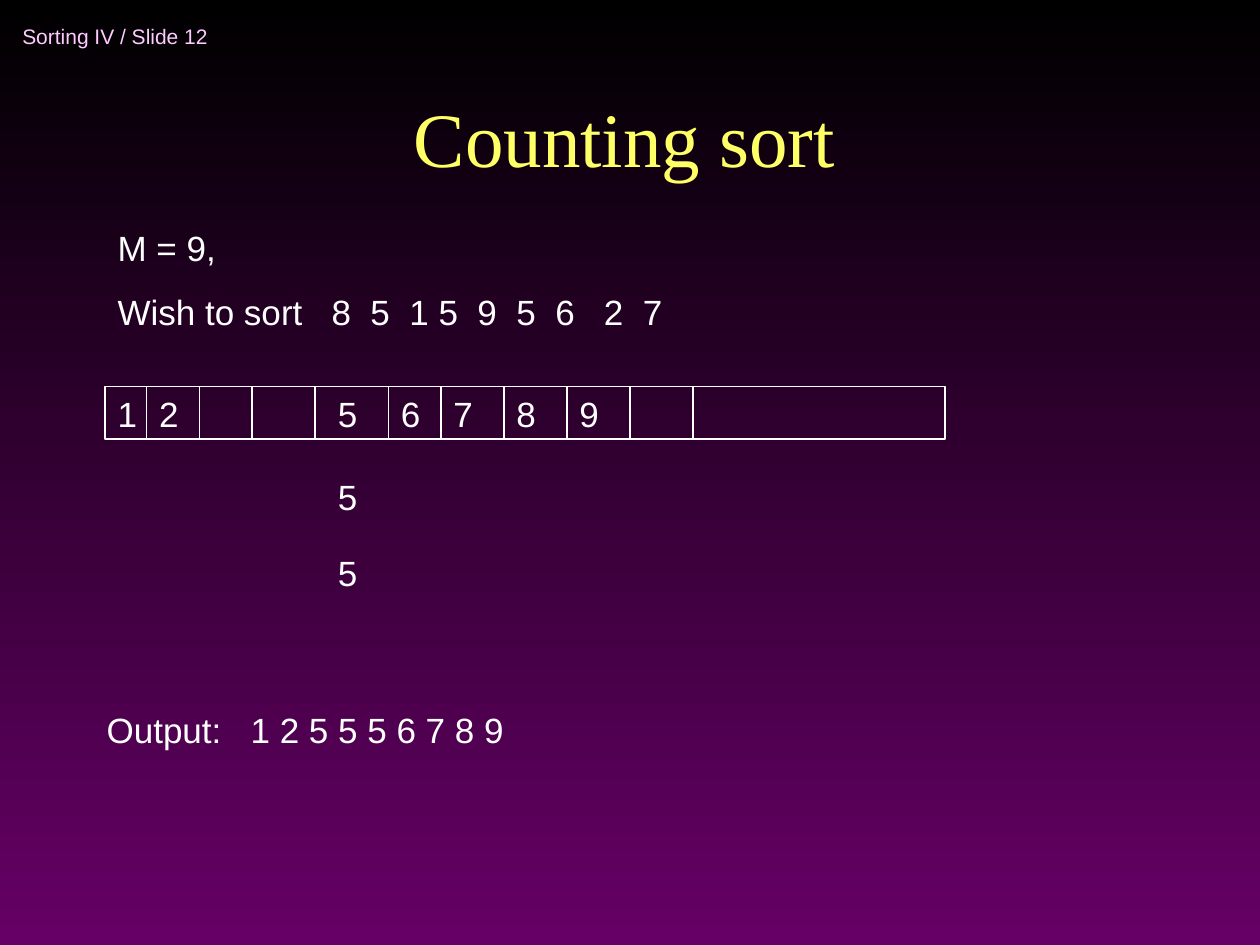
from dataclasses import dataclass

import pptx
import pptx.dml.color
import pptx.enum.shapes
import pptx.enum.text
import pptx.oxml.ns
import pptx.util
from lxml import etree

Cm, Pt = pptx.util.Cm, pptx.util.Pt
ALIGN = pptx.enum.text.PP_ALIGN
ANCHOR = pptx.enum.text.MSO_ANCHOR

COLORS = {"top": "000000", "bottom": "660066", "header": "FFCCFF",
          "title": "FFFF66", "body": "FFFFFF"}

BODY = {"name": "Arial", "size": Pt(20)}
HEADER = {"name": "Arial", "size": Pt(12)}
TITLE = {"name": "Times New Roman", "size": Pt(44)}

# Bucket row, in centimetres
ROW_LEFT, ROW_TOP, ROW_WIDTH, ROW_HEIGHT = 2.12, 7.79, 16.93, 1.06
DIVIDERS = [2.96, 4.02, 5.08, 6.35, 7.83, 8.89, 10.16, 11.43, 12.7, 13.97]
DIGIT_WIDTH, LINE_HEIGHT = 1.06, 1.12
FIVE_LEFT = 6.56


@dataclass
class Label:
    lines: list[str]
    left: float
    top: float
    width: float
    height: float = LINE_HEIGHT
    color: str = "body"
    font: dict | None = None
    align: ALIGN = ALIGN.LEFT
    anchor: ANCHOR = ANCHOR.TOP
    space_before: float = 12.5


def rgb(name: str) -> pptx.dml.color.RGBColor:
    return pptx.dml.color.RGBColor.from_string(COLORS[name])


def add_label(s, label: Label) -> None:
    sp = s.shapes.add_textbox(Cm(label.left), Cm(label.top),
                              Cm(label.width), Cm(label.height))
    tf = sp.text_frame
    tf.word_wrap = True
    tf.vertical_anchor = label.anchor
    for i, text in enumerate(label.lines):
        p = tf.add_paragraph() if i else tf.paragraphs[0]
        p.alignment = label.align
        p.space_before = Pt(label.space_before)
        r = p.add_run()
        r.text = text
        for key, value in (label.font or BODY).items():
            setattr(r.font, key, value)
        r.font.color.rgb = rgb(label.color)


def style_line(line) -> None:
    line.color.rgb = rgb("body")
    line.width = Pt(0.75)


def add_divider(s, x: float) -> None:
    line = s.shapes.add_connector(pptx.enum.shapes.MSO_CONNECTOR.STRAIGHT, Cm(x),
                                  Cm(ROW_TOP), Cm(x), Cm(ROW_TOP + ROW_HEIGHT))
    style_line(line.line)
    etree.SubElement(line._element.spPr, pptx.oxml.ns.qn("a:effectLst"))


def main() -> None:
    prs = pptx.Presentation()
    prs.slide_width, prs.slide_height = Cm(25.4), Cm(19.05)
    s = prs.slides.add_slide(prs.slide_layouts[6])

    # Background, black at the top to purple at the bottom
    fill = s.background.fill
    fill.gradient()
    fill.gradient_angle = 270
    for stop, name in zip(fill.gradient_stops, ("top", "bottom")):
        stop.color.rgb = rgb(name)

    # Header, title and input
    add_label(s, Label(["Sorting IV / Slide 12"], 0.2, 0.2, 6.99, 1.07, "header",
                       HEADER, anchor=ANCHOR.MIDDLE, space_before=0))
    add_label(s, Label(["Counting sort"], 1.7, 0.64, 21.79, 3.18, "title", TITLE,
                       ALIGN.CENTER, ANCHOR.BOTTOM, 0))
    add_label(s, Label(["M = 9,", "Wish to sort   8  5  1 5  9  5  6   2  7"],
                       ROW_LEFT, 4.45, 19.05, 2.39))

    # Bucket row
    row = s.shapes.add_shape(pptx.enum.shapes.MSO_SHAPE.RECTANGLE, Cm(ROW_LEFT),
                             Cm(ROW_TOP), Cm(ROW_WIDTH), Cm(ROW_HEIGHT))
    row.shadow.inherit = False
    row.fill.background()
    style_line(row.line)
    for x in DIVIDERS:
        add_divider(s, x)

    # Sorted values, each in its bucket; the repeated 5s hang below theirs
    cell_lefts = [ROW_LEFT, *DIVIDERS]
    for value in (1, 2, 6, 7, 8, 9):
        add_label(s, Label([str(value)], cell_lefts[value - 1], ROW_TOP, DIGIT_WIDTH))
    for top in (ROW_TOP, 9.47, 11):
        add_label(s, Label(["5"], FIVE_LEFT, top, DIGIT_WIDTH))

    # Result
    add_label(s, Label(["Output:   1 2 5 5 5 6 7 8 9"], 1.9, 14.15, 14.4))

    prs.save("out.pptx")


if __name__ == "__main__":
    main()
